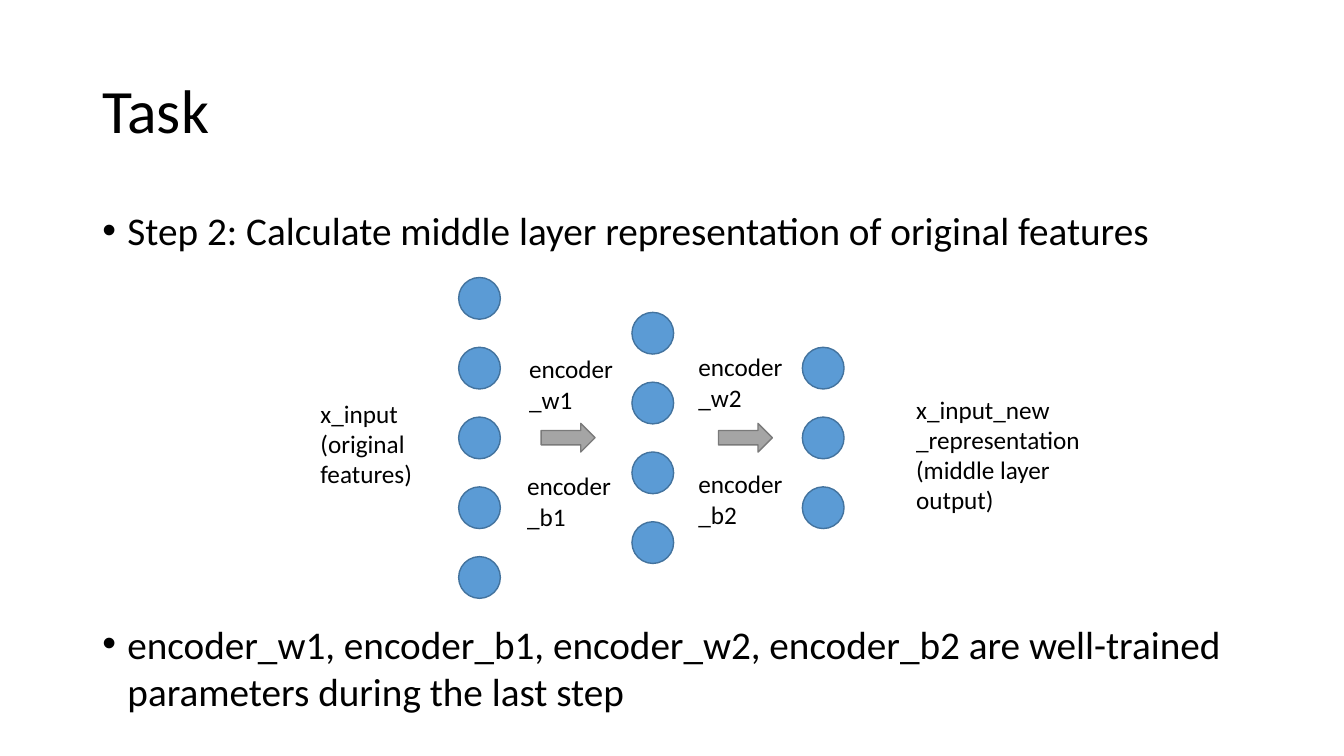
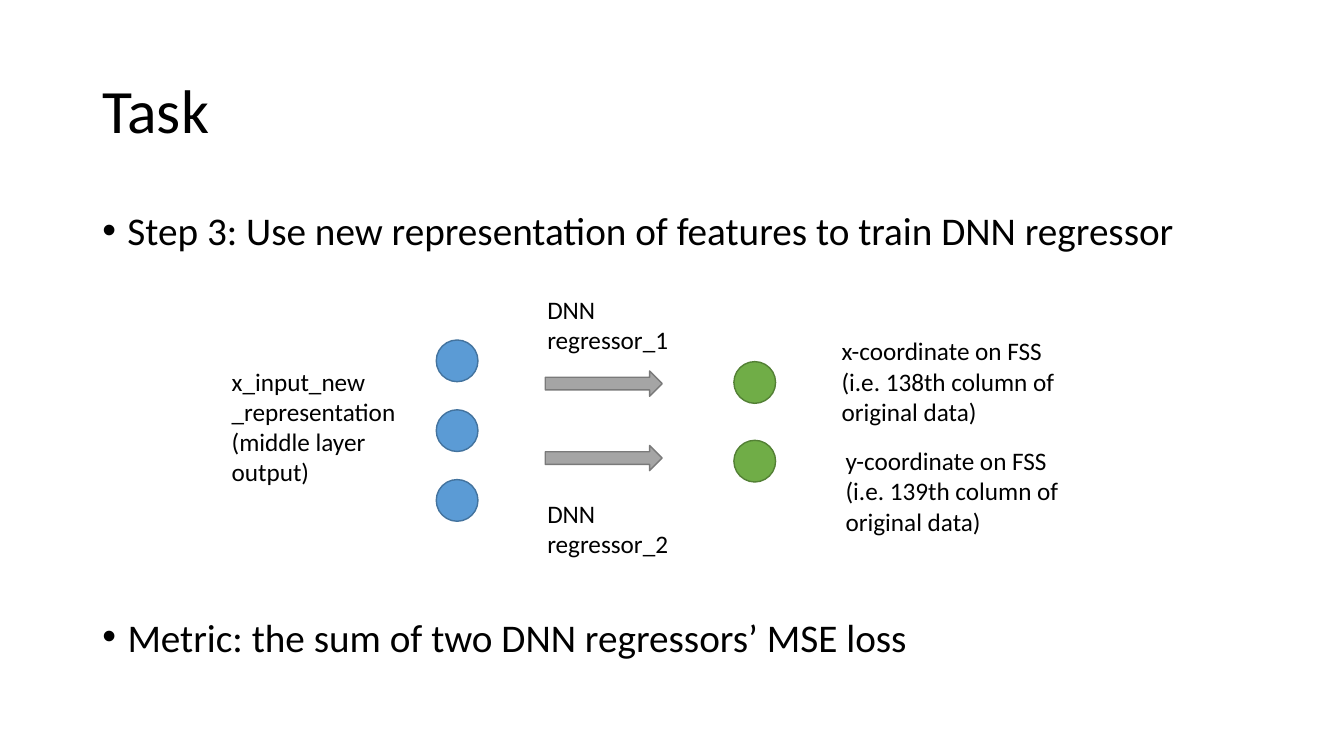
from dataclasses import dataclass

from lxml.etree import SubElement
from pptx import Presentation
from pptx.dml.color import RGBColor
from pptx.enum.shapes import MSO_SHAPE as Preset
from pptx.enum.text import MSO_ANCHOR as Anchor, MSO_AUTO_SIZE as AutoSize
from pptx.oxml.ns import qn
from pptx.slide import Slide
from pptx.text.text import TextFrame
from pptx.util import Pt


@dataclass(frozen=True)
class Paint:
    fill: RGBColor
    line: RGBColor


@dataclass(frozen=True)
class Theme:
    font: str = "Calibri"
    text: RGBColor = RGBColor(0x00, 0x00, 0x00)
    feature: Paint = Paint(RGBColor(0x5B, 0x9B, 0xD5), RGBColor(0x43, 0x73, 0x9E))
    target: Paint = Paint(RGBColor(0x70, 0xAD, 0x47), RGBColor(0x53, 0x80, 0x35))
    arrow: Paint = Paint(RGBColor(0xA5, 0xA5, 0xA5), RGBColor(0x7A, 0x7A, 0x7A))
    title_size: float = 44
    body_size: float = 28
    label_size: float = 18


@dataclass(frozen=True)
class Bullet:
    text: str
    top: float
    height: float
    width: float = 828


@dataclass(frozen=True)
class Layer:
    """A column of nodes, spread evenly about its middle height."""
    left: float
    middle: float
    count: int
    paint: Paint
    pitch: float = 49.85


@dataclass(frozen=True)
class Arrow:
    left: float
    top: float
    width: float
    height: float


@dataclass(frozen=True)
class Label:
    left: float
    top: float
    width: float
    rows: int
    paragraphs: tuple[str, ...]


@dataclass(frozen=True)
class Step:
    bullets: tuple[Bullet, ...]
    layers: tuple[Layer, ...]
    arrows: tuple[Arrow, ...]
    labels: tuple[Label, ...]


THEME = Theme()
MARGIN = 66
NODE = 29.8
BULLET_INDENT = 18
LABEL_ROW = 21.6
LABEL_PADDING = 7.9
MIDDLE_OUTPUT = ("x_input_new", "_representation", "(middle layer output)")

STEPS = (
    Step(
        bullets=(
            Bullet("Step 2: Calculate middle layer representation of original features", 144, 47.5),
            Bullet("encoder_w1, encoder_b1, encoder_w2, encoder_b2 are well-trained "
                   "parameters during the last step", 439.2, 91.4),
        ),
        layers=(
            Layer(327.6, 312.8, 5, THEME.feature),
            Layer(451.4, 312.8, 4, THEME.feature),
            Layer(573.1, 312.8, 3, THEME.feature),
        ),
        arrows=(Arrow(386.6, 302.4, 38.5, 20.5), Arrow(513.2, 302.4, 38.5, 20.5)),
        labels=(
            Label(370.8, 249.1, 75.6, 2, ("encoder_w1",)),
            Label(369.4, 332.6, 76.3, 2, ("encoder_b1",)),
            Label(491.8, 247.7, 75.6, 2, ("encoder_w2",)),
            Label(491.8, 331.2, 75.6, 2, ("encoder_b2",)),
            Label(221.8, 280.8, 97.2, 3, ("x_input", "(original features)")),
            Label(647.3, 277.9, 133.2, 4, MIDDLE_OUTPUT),
        ),
    ),
    Step(
        bullets=(
            Bullet("Step 3: Use new representation of features to train DNN regressor", 144, 56.2),
            Bullet("Metric: the sum of two DNN regressors’ MSE loss", 434.2, 64.1, 632.9),
        ),
        layers=(
            Layer(311.6, 307.6, 3, THEME.feature),
            Layer(524.2, 301.3, 2, THEME.target, 56.2),
        ),
        arrows=(Arrow(389.5, 265, 83.5, 18), Arrow(389.5, 318.2, 83.5, 18)),
        labels=(
            Label(158.4, 257.8, 133.2, 4, MIDDLE_OUTPUT),
            Label(383.8, 206.6, 108.7, 2, ("DNN", "regressor_1")),
            Label(383.8, 352.1, 108.7, 2, ("DNN", "regressor_2")),
            Label(594, 236.2, 179.3, 3,
                  ("x-coordinate on FSS", "(i.e. 138th column of original data)")),
            Label(596.9, 314.6, 179.3, 3,
                  ("y-coordinate on FSS", "(i.e. 139th column of original data)")),
        ),
    ),
)


def add_text(slide: Slide, left: float, top: float, width: float, height: float,
             paragraphs: tuple[str, ...], size: float, bulleted: bool = False) -> TextFrame:
    frame = slide.shapes.add_textbox(Pt(left), Pt(top), Pt(width), Pt(height)).text_frame
    frame.word_wrap = True
    frame.text = "\n".join(paragraphs)
    for paragraph in frame.paragraphs:
        if bulleted:
            properties = paragraph._p.get_or_add_pPr()
            properties.set("marL", str(Pt(BULLET_INDENT)))
            properties.set("indent", str(-Pt(BULLET_INDENT)))
            SubElement(properties, qn("a:buFont"), typeface="Arial")
            SubElement(properties, qn("a:buChar"), char="•")
        paragraph.font.name = THEME.font
        paragraph.font.size = Pt(size)
        paragraph.font.color.rgb = THEME.text
    return frame


def add_title(slide: Slide, text: str) -> None:
    frame = add_text(slide, MARGIN, 28.8, 828, 104.4, (text,), THEME.title_size)
    frame.vertical_anchor = Anchor.MIDDLE
    frame.paragraphs[0].line_spacing = 0.9


def add_painted(slide: Slide, preset: Preset, left: float, top: float,
                width: float, height: float, paint: Paint) -> None:
    shape = slide.shapes.add_shape(preset, Pt(left), Pt(top), Pt(width), Pt(height))
    shape.shadow.inherit = False
    shape.fill.solid()
    shape.fill.fore_color.rgb = paint.fill
    shape.line.color.rgb = paint.line
    shape.line.width = Pt(1)


def add_layer(slide: Slide, layer: Layer) -> None:
    first_top = layer.middle - NODE / 2 - layer.pitch * (layer.count - 1) / 2
    for index in range(layer.count):
        add_painted(slide, Preset.OVAL, layer.left, first_top + index * layer.pitch,
                    NODE, NODE, layer.paint)


def add_label(slide: Slide, label: Label) -> None:
    height = label.rows * LABEL_ROW + LABEL_PADDING
    frame = add_text(slide, label.left, label.top, label.width, height,
                     label.paragraphs, THEME.label_size)
    frame.auto_size = AutoSize.SHAPE_TO_FIT_TEXT


def draw_step(slide: Slide, step: Step) -> None:
    add_title(slide, "Task")
    for bullet in step.bullets:
        add_text(slide, MARGIN, bullet.top, bullet.width, bullet.height,
                 (bullet.text,), THEME.body_size, bulleted=True)
    for layer in step.layers:
        add_layer(slide, layer)
    for arrow in step.arrows:
        add_painted(slide, Preset.RIGHT_ARROW, arrow.left, arrow.top,
                    arrow.width, arrow.height, THEME.arrow)
    for label in step.labels:
        add_label(slide, label)


def main() -> None:
    deck = Presentation()
    deck.slide_width, deck.slide_height = Pt(960), Pt(540)
    blank = deck.slide_layouts[6]
    for step in STEPS:
        draw_step(deck.slides.add_slide(blank), step)
    deck.save("out.pptx")


if __name__ == "__main__":
    main()
